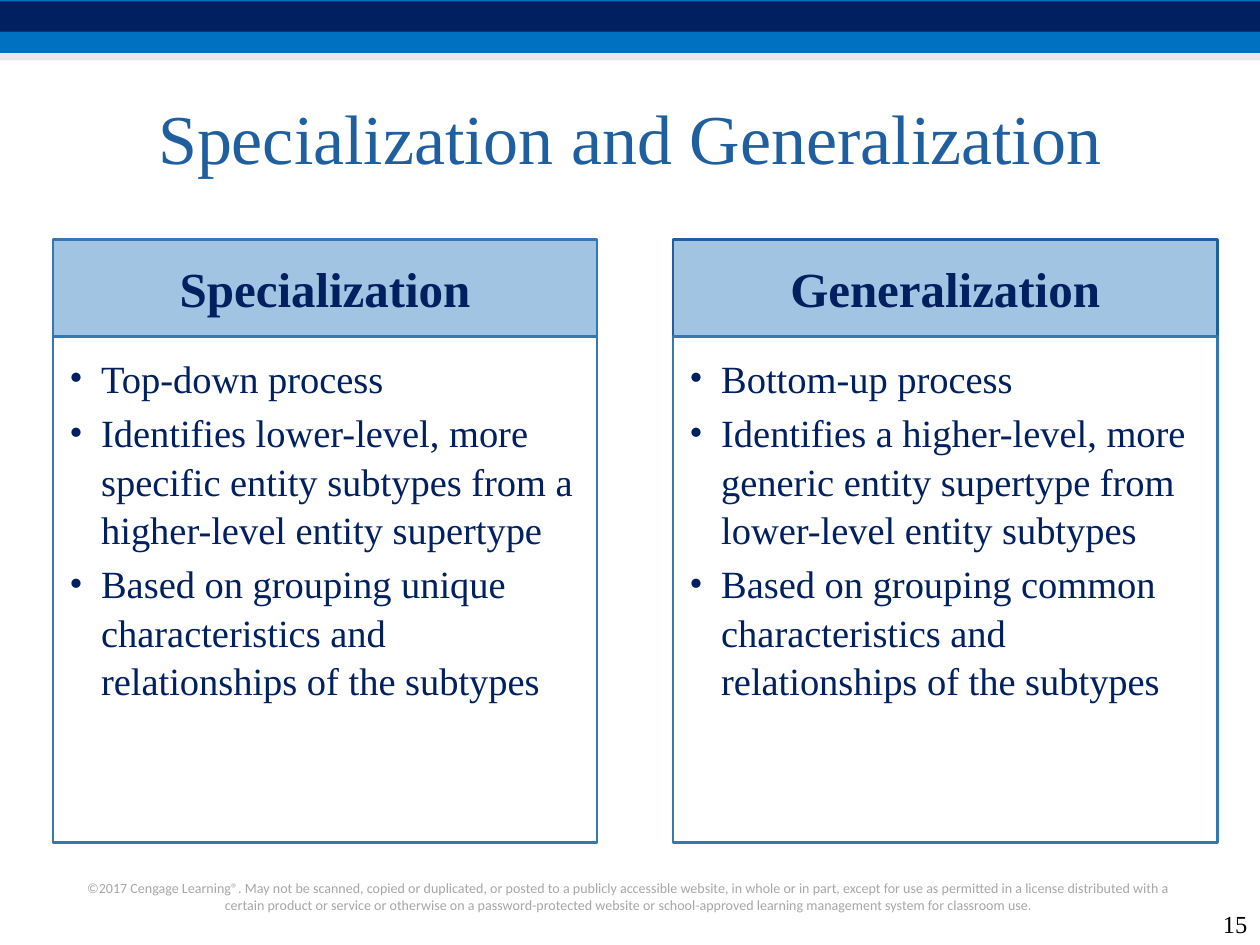
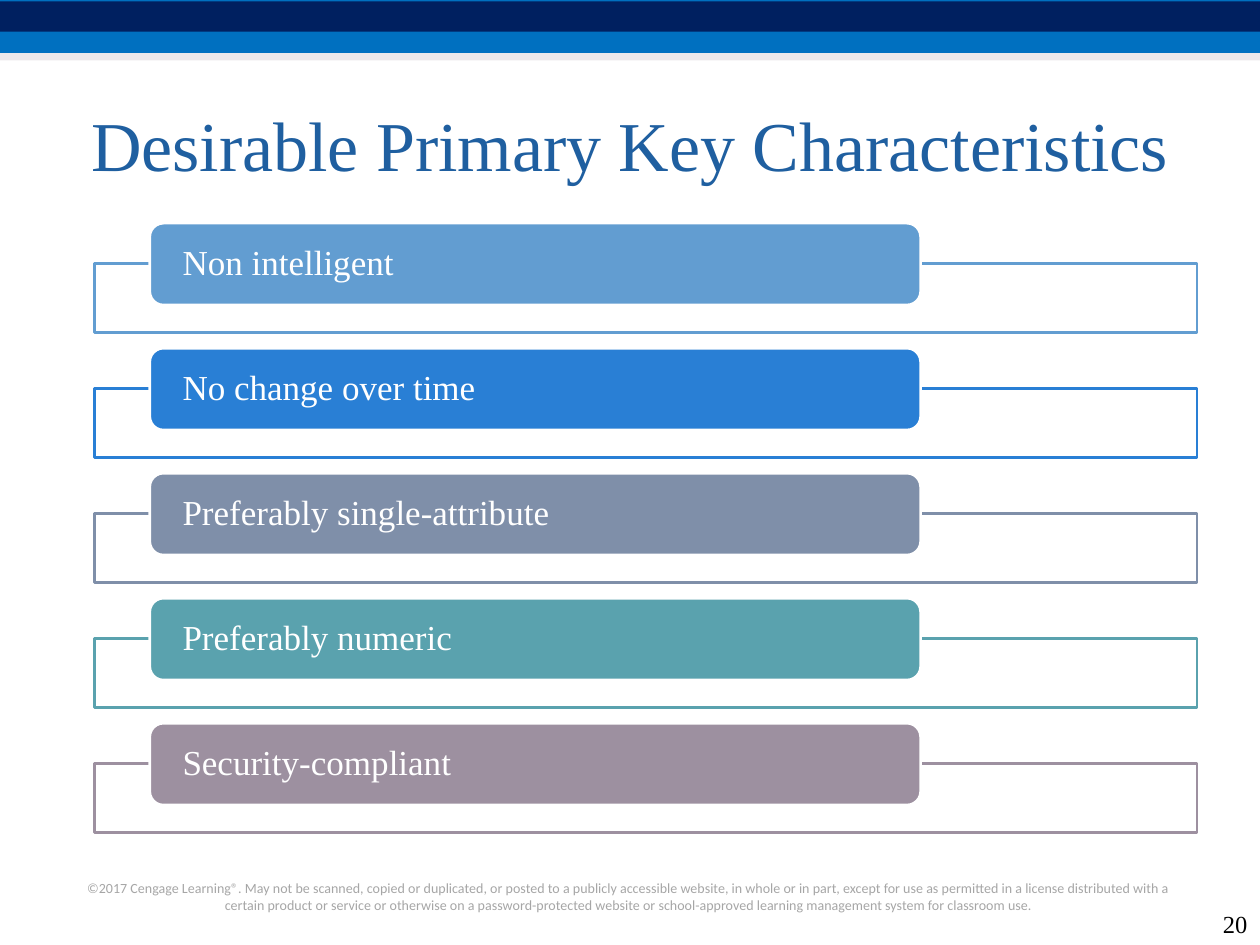
"""Build two slides on entity types and primary keys."""
from dataclasses import dataclass

from lxml.etree import SubElement
from pptx import Presentation
from pptx.dml.color import RGBColor
from pptx.enum.shapes import MSO_SHAPE
from pptx.enum.text import MSO_ANCHOR, MSO_AUTO_SIZE, PP_ALIGN
from pptx.oxml.ns import qn
from pptx.presentation import Presentation as Deck
from pptx.shapes.autoshape import Shape
from pptx.slide import Slide
from pptx.text.text import TextFrame
from pptx.util import Cm, Pt

WHITE = RGBColor(0xFF, 0xFF, 0xFF)
BLACK = RGBColor(0x00, 0x00, 0x00)
NAVY = RGBColor(0x00, 0x20, 0x60)
BLUE = RGBColor(0x00, 0x70, 0xC0)
MIST = RGBColor(0xD8, 0xD3, 0xD9)
GREY = RGBColor(0xA6, 0xA6, 0xA6)
INK = RGBColor(0x1F, 0x5F, 0xA0)
STEEL = RGBColor(0x34, 0x77, 0xB2)
PALE = RGBColor(0xA1, 0xC4, 0xE3)
SKY = RGBColor(0x62, 0x9D, 0xD1)
AZURE = RGBColor(0x29, 0x7F, 0xD5)
SLATE = RGBColor(0x7F, 0x8F, 0xA9)
TEAL = RGBColor(0x5A, 0xA2, 0xAE)
MAUVE = RGBColor(0x9D, 0x90, 0xA0)

SERIF = "Times New Roman"
SANS = "Calibri"
WIDTH = 25.4
LEGAL = (
    "©2017 Cengage Learning®. May not be scanned, copied or duplicated, or posted to a "
    "publicly accessible website, in whole or in part, except for use as permitted in a "
    "license distributed with a certain product or service or otherwise on a "
    "password-protected website or school-approved learning management system for "
    "classroom use."
)


@dataclass(frozen=True)
class Box:
    left: float
    top: float
    width: float
    height: float


@dataclass(frozen=True)
class Style:
    size: float
    color: RGBColor
    font: str = SERIF
    bold: bool = False
    align: PP_ALIGN = PP_ALIGN.LEFT
    anchor: MSO_ANCHOR = MSO_ANCHOR.TOP
    inset: tuple[float, float, float, float] = (0.25, 0.13, 0.25, 0.13)
    line: float = 1.0
    after: float = 0
    dots: bool = False


@dataclass(frozen=True)
class Panel:
    head: str
    edge: RGBColor
    points: tuple[str, ...]


@dataclass(frozen=True)
class Trait:
    text: str
    color: RGBColor


TITLE = Style(40, INK, align=PP_ALIGN.CENTER, anchor=MSO_ANCHOR.MIDDLE)
NOTICE = Style(8, GREY, SANS, align=PP_ALIGN.CENTER)
NUMBER = Style(14, BLACK, align=PP_ALIGN.RIGHT, anchor=MSO_ANCHOR.BOTTOM)
HEAD = Style(28, NAVY, bold=True, align=PP_ALIGN.CENTER, anchor=MSO_ANCHOR.MIDDLE,
             inset=(0.76, 0.43, 0.76, 0.43))
BODY = Style(22, NAVY, inset=(0.33, 0.33, 0.43, 0.48), line=1.05, after=3.3, dots=True)
LABEL = Style(20, WHITE, anchor=MSO_ANCHOR.MIDDLE, inset=(0.58, 0, 0.58, 0), line=0.9)

PANELS = (
    Panel("Specialization", STEEL, (
        "Top-down process",
        "Identifies lower-level, more specific entity subtypes from a higher-level "
        "entity supertype",
        "Based on grouping unique characteristics and relationships of the subtypes",
    )),
    Panel("Generalization", INK, (
        "Bottom-up process",
        "Identifies a higher-level, more generic entity supertype from lower-level "
        "entity subtypes",
        "Based on grouping common characteristics and relationships of the subtypes",
    )),
)
TRAITS = (
    Trait("Non intelligent", SKY),
    Trait("No change over time", AZURE),
    Trait("Preferably single-attribute", SLATE),
    Trait("Preferably numeric", TEAL),
    Trait("Security-compliant", MAUVE),
)


def place(box: Box) -> tuple[Cm, Cm, Cm, Cm]:
    return Cm(box.left), Cm(box.top), Cm(box.width), Cm(box.height)


def write(frame: TextFrame, text: str, style: Style) -> None:
    frame.text = text
    frame.word_wrap = True
    frame.auto_size = MSO_AUTO_SIZE.NONE
    frame.vertical_anchor = style.anchor
    (frame.margin_left, frame.margin_top,
     frame.margin_right, frame.margin_bottom) = map(Cm, style.inset)
    for para in frame.paragraphs:
        para.alignment = style.align
        para.line_spacing = style.line
        para.space_after = Pt(style.after)
        if style.dots:
            props = para._p.get_or_add_pPr()
            props.set("marL", str(Cm(0.64)))
            props.set("indent", str(-Cm(0.64)))
            SubElement(props, qn("a:buFont"), typeface=SERIF)
            SubElement(props, qn("a:buChar"), char="•")
        for run in para.runs:
            run.font.name = style.font
            run.font.size = Pt(style.size)
            run.font.bold = style.bold
            run.font.color.rgb = style.color


def draw(slide: Slide, box: Box, fill: RGBColor, edge: RGBColor | None = None,
         kind: MSO_SHAPE = MSO_SHAPE.RECTANGLE) -> Shape:
    shape = slide.shapes.add_shape(kind, *place(box))
    shape.shadow.inherit = False
    shape.fill.solid()
    shape.fill.fore_color.rgb = fill
    if edge is None:
        shape.line.fill.background()
    else:
        shape.line.color.rgb = edge
        shape.line.width = Pt(1.5)
    return shape


def fade(shape: Shape, share: int) -> None:
    color = shape.element.spPr.find(qn("a:solidFill"))[0]
    SubElement(color, qn("a:alpha"), val=str(share * 1000))


def label(slide: Slide, box: Box, text: str, style: Style) -> None:
    write(slide.shapes.add_textbox(*place(box)).text_frame, text, style)


def start(deck: Deck, title: str, top: float, page: int) -> Slide:
    slide = deck.slides.add_slide(deck.slide_layouts[5])
    draw(slide, Box(0, 0, WIDTH, 1.07), BLUE)
    draw(slide, Box(0, 0.03, WIDTH, 0.61), NAVY)
    fade(draw(slide, Box(0, 1.07, WIDTH, 0.15), MIST), 50)
    label(slide, Box(1.47, 17.6, 22.43, 0.94), LEGAL, NOTICE)
    label(slide, Box(24.13, 18.21, 1.27, 0.84), str(page), NUMBER)
    holder = slide.shapes.title
    holder.left, holder.top, holder.width, holder.height = place(
        Box(1.27, top, 22.86, 2.97))
    write(holder.text_frame, title, TITLE)
    return slide


def compare(slide: Slide) -> None:
    for col, panel in enumerate(PANELS):
        left = 1.07 + col * 12.5
        head = draw(slide, Box(left, 4.83, 10.97, 1.95), PALE, panel.edge)
        write(head.text_frame, panel.head, HEAD)
        body = draw(slide, Box(left, 6.78, 10.97, 10.21), WHITE, STEEL)
        write(body.text_frame, "\n".join(panel.points), BODY)


def stack(slide: Slide) -> None:
    for row, trait in enumerate(TRAITS):
        top = 4.5 + row * 2.52
        draw(slide, Box(1.91, top + 0.81, 22.22, 1.4), WHITE, trait.color)
        tab = draw(slide, Box(3.02, top, 15.54, 1.65), trait.color, WHITE,
                   MSO_SHAPE.ROUNDED_RECTANGLE)
        write(tab.text_frame, trait.text, LABEL)


def main() -> None:
    deck = Presentation()
    deck.slide_width, deck.slide_height = Cm(WIDTH), Cm(19.05)
    compare(start(deck, "Specialization and Generalization", 1.27, 15))
    stack(start(deck, "Desirable Primary Key Characteristics", 1.4, 20))
    deck.save("out.pptx")


if __name__ == "__main__":
    main()
